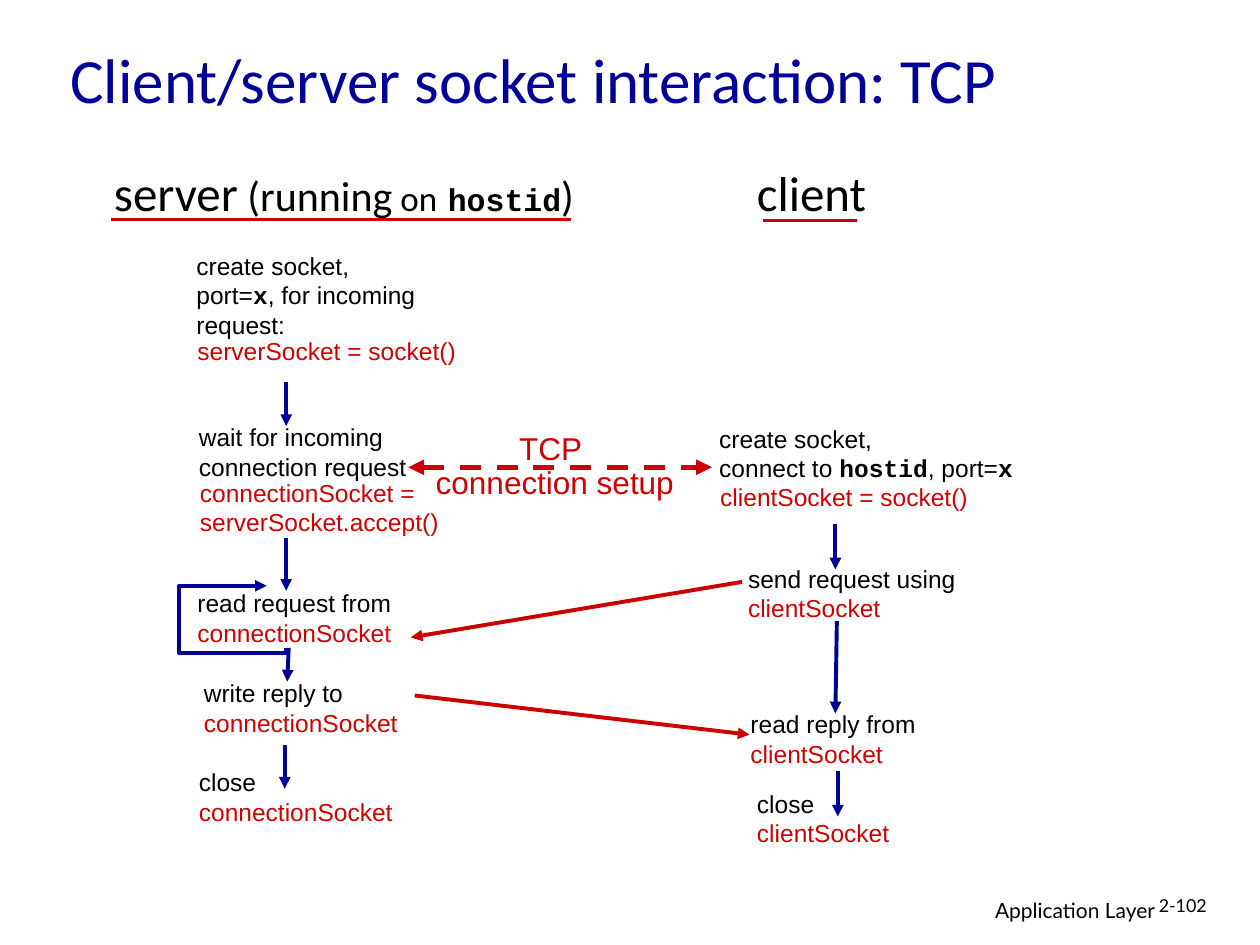
from dataclasses import dataclass
from typing import NamedTuple, Optional

from lxml.etree import SubElement
from pptx import Presentation
from pptx.dml.color import RGBColor
from pptx.enum.dml import MSO_LINE
from pptx.enum.shapes import MSO_CONNECTOR
from pptx.enum.text import MSO_ANCHOR, MSO_AUTO_SIZE, PP_ALIGN
from pptx.oxml.ns import qn
from pptx.util import Cm, Pt

BLACK = RGBColor(0x00, 0x00, 0x00)
NAVY = RGBColor(0x00, 0x00, 0x99)
RED = RGBColor(0xCC, 0x00, 0x00)
BRIGHT_RED = RGBColor(0xFF, 0x00, 0x00)


class Run(NamedTuple):
    text: str
    color: RGBColor = BLACK
    font: str = "Arial"
    size: float = 14
    bold: bool = False


@dataclass
class Step:
    """A text block of the flow; lengths in centimetres."""
    left: float
    top: float
    width: float
    lines: list
    height: float = 1.45
    wrap: bool = False


@dataclass
class Line:
    """A straight line; lengths in centimetres."""
    x1: float
    y1: float
    x2: float
    y2: float
    color: RGBColor = NAVY
    weight: float = 2.25
    head: bool = False
    tail: bool = True
    dash: Optional[MSO_LINE] = None


def code(text: str, size: float = 14) -> Run:
    return Run(text, font="Courier New", size=size, bold=True)


def action(text: str, socket: str) -> list:
    """Two lines: what is done, and the socket it is done with."""
    return [[Run(text)], [Run(socket, RED)]]


def add_text(s, left: float, top: float, width: float, height: float, lines: list, *,
             align=PP_ALIGN.LEFT, anchor=MSO_ANCHOR.MIDDLE, spacing=None,
             wrap=True, grow=True) -> None:
    tf = s.shapes.add_textbox(Cm(left), Cm(top), Cm(width), Cm(height)).text_frame
    tf.word_wrap = wrap
    tf.auto_size = MSO_AUTO_SIZE.SHAPE_TO_FIT_TEXT if grow else MSO_AUTO_SIZE.NONE
    tf.vertical_anchor = anchor
    for i, runs in enumerate(lines):
        p = tf.add_paragraph() if i else tf.paragraphs[0]
        p.alignment = align
        if spacing:
            p.line_spacing = spacing
        for run in runs:
            r = p.add_run()
            r.text = run.text
            r.font.name, r.font.size, r.font.bold = run.font, Pt(run.size), run.bold
            r.font.color.rgb = run.color


def style_line(sp, color: RGBColor, weight: float, dash=None,
               head: bool = False, tail: bool = True) -> None:
    sp.line.color.rgb = color
    sp.line.width = Pt(weight)
    if dash:
        sp.line.dash_style = dash
    ln = sp.line._get_or_add_ln()
    for tag, wanted in (("a:headEnd", head), ("a:tailEnd", tail)):
        if wanted:
            SubElement(ln, qn(tag), type="triangle")


def add_line(s, line: Line) -> None:
    sp = s.shapes.add_connector(MSO_CONNECTOR.STRAIGHT, Cm(line.x1), Cm(line.y1),
                                Cm(line.x2), Cm(line.y2))
    style_line(sp, line.color, line.weight, line.dash, line.head, line.tail)
    SubElement(sp._element.spPr, qn("a:effectLst"))


def add_loop(s, points: list) -> None:
    """Open path with an arrowhead at its last point."""
    start, *rest = [(Cm(x), Cm(y)) for x, y in points]
    builder = s.shapes.build_freeform(*start)
    builder.add_line_segments(rest, close=False)
    sp = builder.convert_to_shape()
    sp.fill.background()
    sp.shadow.inherit = False
    style_line(sp, NAVY, 2.25)


SERVER_STEPS = [
    Step(3.71, 4.93, 5.36, [[Run("create socket,")],
                            [Run("port="), code("x"), Run(", for incoming request:")]],
         height=2.03, wrap=True),
    Step(3.73, 6.65, 6.53, [[Run("serverSocket = socket()", RED)]], height=0.86, wrap=True),
    Step(3.76, 8.38, 4.7, [[Run("wait for incoming")], [Run("connection request")]]),
    Step(3.78, 9.5, 5.6, [[Run("connectionSocket =", RED)],
                          [Run("serverSocket.accept()", RED)]], wrap=True),
    Step(3.73, 11.73, 4.42, [[Run("read request from")],
                             [Run("connectionSocke", RED), Run("t", BRIGHT_RED)]]),
    Step(3.86, 13.54, 4.42, action("write reply to", "connectionSocket")),
    Step(3.76, 15.34, 4.42, action("close", "connectionSocket")),
]
CLIENT_STEPS = [
    Step(14.25, 8.41, 6.43, [[Run("create socket,")],
                             [Run("connect to "), code("hostid"), Run(", port="), code("x")]]),
    Step(14.27, 9.58, 6.55, [[Run("clientSocket = socket()", RED)]], height=0.86, wrap=True),
    Step(14.83, 11.23, 4.7, action("send request using", "clientSocket")),
    Step(14.88, 14.17, 3.84, action("read reply from", "clientSocket")),
    Step(15.01, 15.77, 3.18, action("close", "clientSocket")),
]
HEADING_RULES = [
    Line(2.24, 4.42, 11.51, 4.42, RED, 1.5, tail=False),
    Line(15.39, 4.45, 17.27, 4.45, RED, 1.5, tail=False),
]
FLOW_ARROWS = [
    Line(5.77, 7.7, 5.77, 8.59),
    Line(5.77, 10.85, 5.77, 11.91),
    Line(5.82, 13.06, 5.79, 13.74),
    Line(5.74, 15.01, 5.74, 15.9),
    Line(16.84, 10.57, 16.84, 11.48),
    Line(16.87, 12.52, 16.84, 14.38),
    Line(16.89, 15.54, 16.89, 16.46),
]
MESSAGE_ARROWS = [
    Line(8.23, 9.42, 14.35, 9.42, RED, 3, head=True, dash=MSO_LINE.DASH),
    Line(14.96, 11.73, 8.28, 12.85, RED),
    Line(8.36, 14.02, 15.11, 14.81, RED),
]
REQUEST_LOOP = [(5.77, 13.06), (5.77, 13.16), (3.61, 13.16), (3.61, 11.81), (5.38, 11.81)]


def main() -> None:
    prs = Presentation()
    prs.slide_width, prs.slide_height = Cm(25.4), Cm(19.05)
    s = prs.slides.add_slide(prs.slide_layouts[6])

    add_text(s, 15.49, 17.96, 8.05, 0.79, [[Run("Application Layer", font="Lato", size=12)]],
             align=PP_ALIGN.RIGHT, anchor=MSO_ANCHOR.TOP, grow=False)
    add_text(s, 23.11, 17.96, 1.88, 0.76, [[Run("2-102", font="Lato", size=10.2)]],
             anchor=MSO_ANCHOR.TOP, spacing=0.9, grow=False)
    add_text(s, 1.17, 0.25, 21.59, 2.64,
             [[Run("Client/server socket interaction: TCP", NAVY, "Calibri", 36)]], grow=False)

    add_text(s, 1.5, 3.15, 10.87, 1.45,
             [[Run("server", font="Calibri", size=28), Run(" (running", font="Calibri", size=24),
               Run(" on", font="Calibri", size=20), Run(" ", font="Comic Neue", size=18),
               code("hostid", 18), Run(")", font="Calibri", size=24)]],
             align=PP_ALIGN.CENTER, wrap=False)
    add_text(s, 14.86, 3.15, 3, 1.45, [[Run("client", font="Calibri", size=28)]],
             align=PP_ALIGN.CENTER, wrap=False)

    for step in SERVER_STEPS + CLIENT_STEPS:
        add_text(s, step.left, step.top, step.width, step.height, step.lines, wrap=step.wrap)
    for line in HEADING_RULES + FLOW_ARROWS + MESSAGE_ARROWS:
        add_line(s, line)
    add_text(s, 8.53, 8.61, 5.31, 1.63,
             [[Run("TCP ", RED, size=18)], [Run("connection setup", RED, size=18)]],
             align=PP_ALIGN.CENTER, spacing=0.9, wrap=False)
    add_loop(s, REQUEST_LOOP)

    prs.save("out.pptx")


if __name__ == "__main__":
    main()
